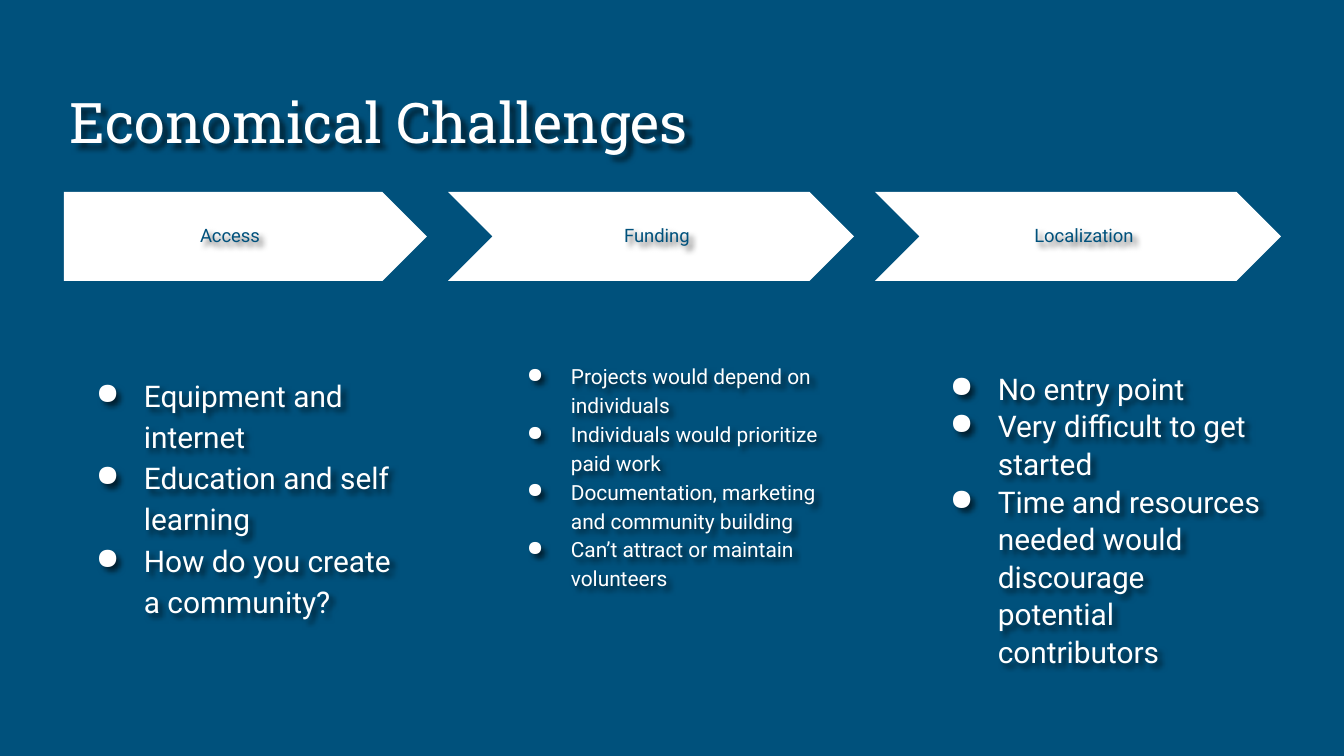
from lxml.etree import SubElement
from pptx import Presentation
from pptx.dml.color import RGBColor
from pptx.enum.shapes import MSO_SHAPE
from pptx.enum.text import MSO_ANCHOR, PP_ALIGN
from pptx.oxml import parse_xml
from pptx.oxml.ns import nsdecls, qn
from pptx.util import Emu, Pt

BLUE = RGBColor(0x00, 0x51, 0x7C)
WHITE = RGBColor(0xFF, 0xFF, 0xFF)

# Heading, points, text size, line spacing, hanging indent in px
STEPS = [
    ("Access", ["Equipment and internet", "Education and self learning",
                "How do you create a community?"], 16, 1.15, 48),
    ("Funding", ["Projects would depend on individuals",
                 "Individuals would prioritize paid work",
                 "Documentation, marketing and community building",
                 "Can’t attract or maintain volunteers"], 11.2, 1.15, 44),
    ("Localization", ["No entry point", "Very difficult to get started",
                      "Time and resources needed would discourage "
                      "potential contributors"], 16, 1.05, 48),
]


def px(n):
    return Emu(round(n * 914400 / 134.4))


def add_text(slide, box, lines, size, color, font="Roboto", space=1.0):
    """Text box with a soft shadow behind its letters."""
    shape = slide.shapes.add_textbox(*map(px, box))
    shape.fill.background()
    shape._element.spPr.append(parse_xml(
        f'<a:effectLst {nsdecls("a")}><a:outerShdw blurRad="38100" dist="38100" '
        'dir="2700000" algn="tl" rotWithShape="0"><a:srgbClr val="000000">'
        '<a:alpha val="60000"/></a:srgbClr></a:outerShdw></a:effectLst>'))
    frame = shape.text_frame
    frame.word_wrap = True
    frame.margin_left = frame.margin_right = px(13)
    frame.margin_top = frame.margin_bottom = px(13)
    frame.text = "\n".join(lines)
    for para in frame.paragraphs:
        para.line_spacing = space
        for run in para.runs:
            run.font.size = Pt(size)
            run.font.name = font
            run.font.color.rgb = color
    return frame


def add_title(slide, box):
    frame = add_text(slide, box, ["Economical Challenges"], 30, WHITE, "Roboto Slab")
    frame.vertical_anchor = MSO_ANCHOR.BOTTOM


def add_arrow(slide, box, kind):
    arrow = slide.shapes.add_shape(kind, *map(px, box))
    arrow.adjustments[0] = 0.5
    arrow.fill.solid()
    arrow.fill.fore_color.rgb = WHITE
    arrow.line.fill.background()
    arrow.shadow.inherit = False


def add_list(slide, box, lines, size, space, hang):
    frame = add_text(slide, box, lines, size, WHITE, space=space)
    # The list starts one line and a small gap below the top
    frame.margin_top = px(28 + size * 2.19 * space)
    for para in frame.paragraphs:
        props = para._p.get_or_add_pPr()
        props.set("marL", str(px(67)))
        props.set("indent", str(-px(hang)))
        tint = SubElement(props, qn("a:buClr"))
        SubElement(tint, qn("a:srgbClr"), val=str(WHITE))
        SubElement(props, qn("a:buChar"), char="●")


def add_step(slide, box, step, first):
    left, top, width, height = box
    head, lines, size, space, hang = step
    # Later arrows reach back into the gap to the left
    back = 0 if first else 43
    kind = MSO_SHAPE.PENTAGON if first else MSO_SHAPE.CHEVRON
    add_arrow(slide, (left - back, top, width + back, 89), kind)
    label = add_text(slide, (left, top + 22, 332, 46), [head], 9.9, BLUE, space=0.8)
    label.vertical_anchor = MSO_ANCHOR.MIDDLE
    label.paragraphs[0].alignment = PP_ALIGN.CENTER
    add_list(slide, (left, top + 112, width, height - 112), lines, size, space, hang)


def main():
    deck = Presentation()
    deck.slide_width, deck.slide_height = px(1344), px(756)
    slide = deck.slides.add_slide(deck.slide_layouts[6])
    slide.background.fill.solid()
    slide.background.fill.fore_color.rgb = BLUE

    add_title(slide, (57, 67, 1230, 101))
    # Three steps at an equal pitch
    for i, step in enumerate(STEPS):
        add_step(slide, (64 + i * 427, 192, 363, 502), step, i == 0)
    deck.save("out.pptx")


if __name__ == "__main__":
    main()
